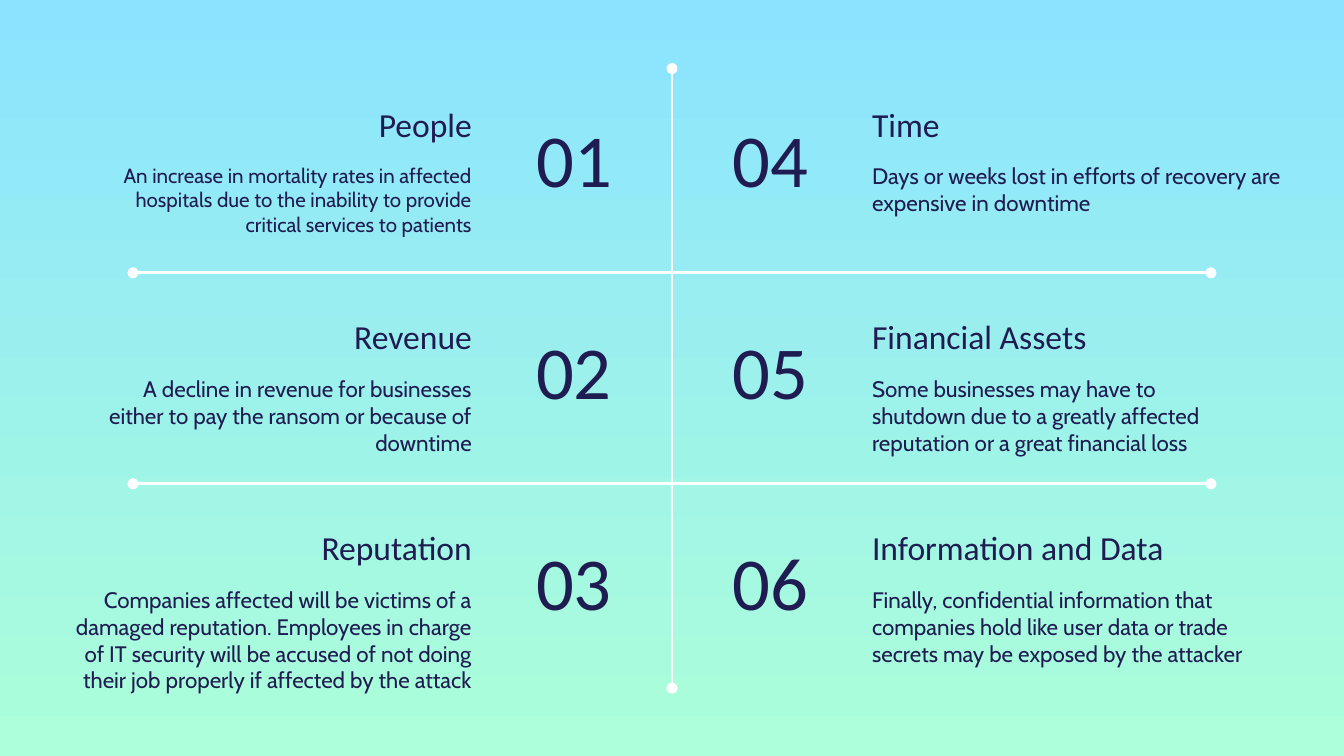
import pptx
import pptx.util
import pptx.dml.color
import pptx.enum.shapes
import pptx.enum.text
import pptx.oxml
from lxml import etree

Inches = pptx.util.Inches
ALIGN = pptx.enum.text.PP_ALIGN
ANCHOR = pptx.enum.text.MSO_ANCHOR

COLORS = {"sky": "8BE3FF", "mint": "ACFFD9", "navy": "1F1C51", "white": "FFFFFF"}
FONTS = {"heading": "Calibri", "body": "Cabin"}


def rgb(name):
    return pptx.dml.color.RGBColor.from_string(COLORS[name])


class SlideBuilder:
    """Holds the style and the current slide."""

    def __init__(self, slide):
        self.slide = slide

    def background(self, top, bottom):
        fill = self.slide.background.fill
        fill.gradient()
        fill.gradient_angle = 270
        for stop, color, position in zip(fill.gradient_stops, (top, bottom), (0, 1)):
            stop.color.rgb = rgb(color)
            stop.position = position

    def text(self, box, wording, size, font, align, anchor, shape=None):
        left, top, width, height = (Inches(value) for value in box)
        if shape is None:
            shape = self.slide.shapes.add_textbox(left, top, width, height)
        else:
            shape.left, shape.top, shape.width, shape.height = left, top, width, height
        frame = shape.text_frame
        frame.word_wrap = True
        frame.auto_size = pptx.enum.text.MSO_AUTO_SIZE.NONE
        frame.vertical_anchor = anchor
        frame.margin_left = frame.margin_right = Inches(0.1)
        frame.margin_top = frame.margin_bottom = Inches(0.1)
        paragraph = frame.paragraphs[0]
        paragraph.alignment = align
        run = paragraph.add_run()
        run.text = wording
        run.font.size = pptx.util.Pt(size)
        run.font.name = FONTS[font]
        run.font.color.rgb = rgb("navy")

    def divider(self, x1, y1, x2, y2):
        connector = self.slide.shapes.add_connector(
            pptx.enum.shapes.MSO_CONNECTOR.STRAIGHT,
            Inches(x1), Inches(y1), Inches(x2), Inches(y2))
        connector.line.color.rgb = rgb("white")
        connector.line.width = pptx.util.Pt(1.5)
        outline = connector.line._get_or_add_ln()
        for end in ("a:headEnd", "a:tailEnd"):
            etree.SubElement(outline, pptx.oxml.ns.qn(end), type="oval")
        properties = connector._element.spPr
        etree.SubElement(properties, pptx.oxml.ns.qn("a:effectLst"))


# Row tops, and the impacts in each column: heading, body, body size, body left, body width
ROW_TOPS = (0.67, 2.25, 3.82)
LEFT_IMPACTS = (
    ("People", "An increase in mortality rates in affected hospitals due to the "
     "inability to provide critical services to patients", 11, 0.63, 2.98),
    ("Revenue", "A decline in revenue for businesses either to pay the ransom or "
     "because of downtime", 12, 0.63, 2.98),
    ("Reputation", "Companies affected will be victims of a damaged reputation. "
     "Employees in charge of IT security will be accused of not doing their job "
     "properly if affected by the attack", 12, 0.42, 3.19),
)
RIGHT_IMPACTS = (
    ("Time", "Days or weeks lost in efforts of recovery are expensive in downtime",
     12, 6.39, 3.26),
    ("Financial Assets", "Some businesses may have to shutdown due to a greatly "
     "affected reputation or a great financial loss", 12, 6.39, 2.98),
    ("Information and Data", "Finally, confidential information that companies hold "
     "like user data or trade secrets may be exposed by the attacker", 12, 6.39, 2.98),
)
# Heading left, number left, text alignment, number alignment, impacts
COLUMNS = (
    (0.63, 3.89, ALIGN.RIGHT, ALIGN.LEFT, LEFT_IMPACTS),
    (6.39, 5.2, ALIGN.LEFT, ALIGN.RIGHT, RIGHT_IMPACTS),
)


def main():
    presentation = pptx.Presentation()
    presentation.slide_width = Inches(10)
    presentation.slide_height = presentation.slide_width * 9 // 16
    slide = presentation.slides.add_slide(presentation.slide_layouts[5])
    builder = SlideBuilder(slide)
    builder.background("sky", "mint")

    # Dividers
    builder.divider(5, 0.51, 5, 5.12)
    for top in ROW_TOPS[1:]:
        builder.divider(0.99, top - 0.22, 9.01, top - 0.22)

    # Numbered impacts; the first number is the slide's title
    number = 0
    for heading_left, number_left, align, number_align, impacts in COLUMNS:
        for top, (heading, body, size, body_left, body_width) in zip(ROW_TOPS, impacts):
            number += 1
            builder.text((number_left, top + 0.07, 0.91, 0.86), f"{number:02}", 40,
                         "heading", number_align, ANCHOR.MIDDLE,
                         slide.shapes.title if number == 1 else None)
            builder.text((heading_left, top, 2.98, 0.5), heading, 18,
                         "heading", align, ANCHOR.BOTTOM)
            builder.text((body_left, top + 0.44, body_width, 0.69), body, size,
                         "body", align, ANCHOR.TOP)

    presentation.save("out.pptx")


if __name__ == "__main__":
    main()
